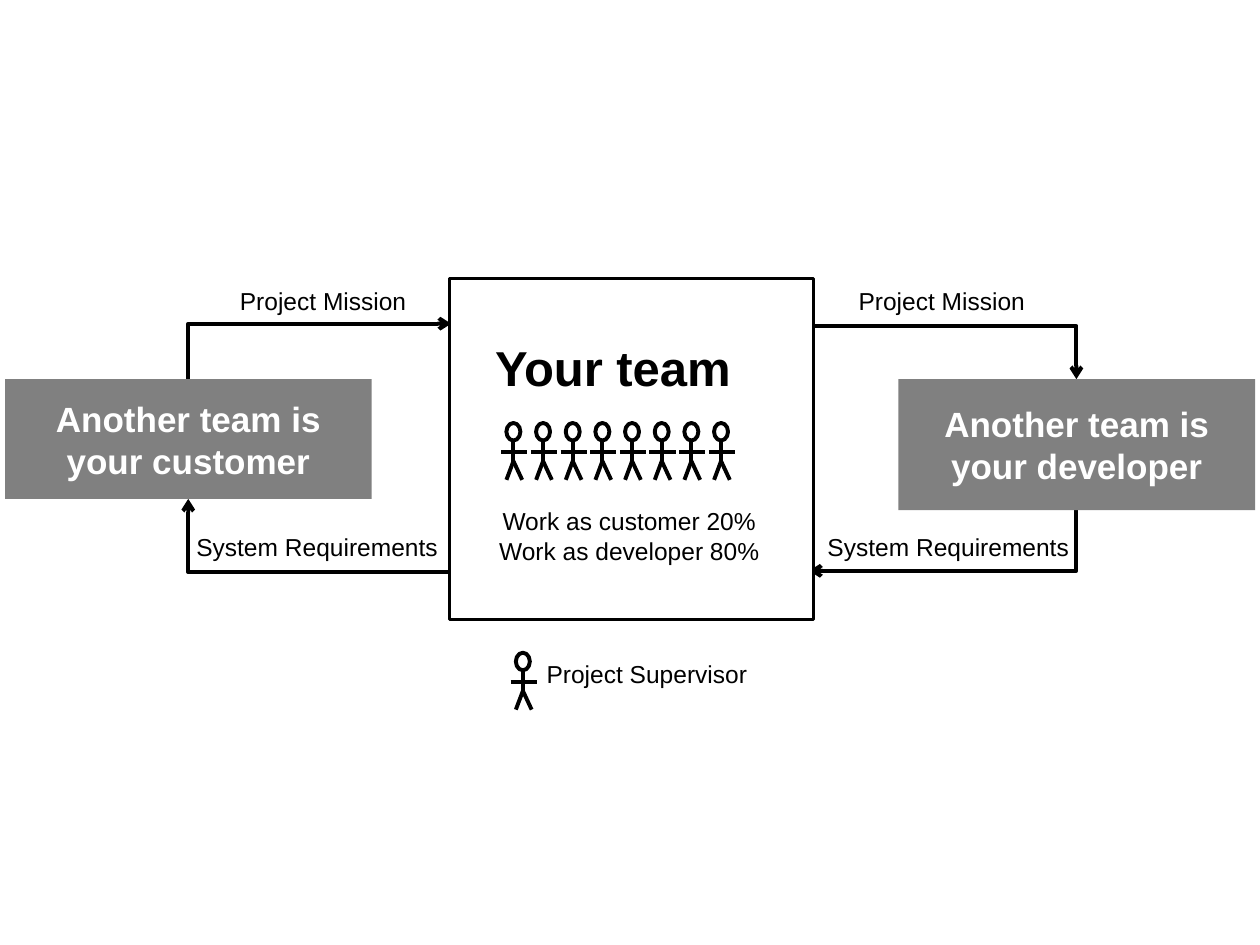
"""Draw how one student team works as both customer and developer."""
from dataclasses import dataclass

from lxml import etree
from pptx import Presentation
from pptx import util as u
from pptx.dml.color import RGBColor
from pptx.enum import shapes, text
from pptx.oxml import ns


@dataclass(frozen=True)
class Theme:
    font: str = "Arial"
    ink: RGBColor = RGBColor(0, 0, 0)
    paper: RGBColor = RGBColor(255, 255, 255)
    panel: RGBColor = RGBColor(128, 128, 128)
    label_size: float = 14
    panel_size: float = 20
    title_size: float = 28
    stroke: float = 2.25
    frame: float = 1.5


@dataclass(frozen=True)
class Area:
    left: float
    top: float
    width: float
    height: float

    def lengths(self) -> list:
        return [u.Pt(n) for n in (self.left, self.top, self.width, self.height)]


@dataclass(frozen=True)
class Words:
    lines: tuple[str, ...]
    area: Area
    size: float
    bold: bool = False
    centred: bool = True
    wrap: bool = False


@dataclass(frozen=True)
class Flow:
    team_x: float
    team_y: float
    panel_x: float
    panel_y: float
    arrow_end: str


THEME = Theme()
KIND = shapes.MSO_SHAPE
LINK = shapes.MSO_CONNECTOR
TEAM = Area(257, 159, 208, 195)
CUSTOMER = Area(2.9, 216.7, 209.5, 68.4)
DEVELOPER = Area(513.4, 216.7, 203.8, 74.9)
CUSTOMER_X, DEVELOPER_X = 107.6, 615.1

FLOWS = (
    Flow(257.8, 185, CUSTOMER_X, 216.7, "headEnd"),
    Flow(257, 326.9, CUSTOMER_X, 285.1, "tailEnd"),
    Flow(465, 186.3, DEVELOPER_X, 216.7, "tailEnd"),
    Flow(462.4, 326.2, DEVELOPER_X, 291.6, "headEnd"),
)
PANELS = (
    Words(("Another team is", "your developer"), DEVELOPER, THEME.panel_size, bold=True),
    Words(("Another team is", "your customer"), CUSTOMER, THEME.panel_size, bold=True),
)
LABELS = tuple(
    label
    for mission_left, needs_left in ((108, 105.1), (461.5, 465.8))
    for label in (
        Words(("Project Mission",), Area(mission_left, 151.2, 153.4, 49.7), THEME.label_size),
        Words(("System Requirements",), Area(needs_left, 298.1, 98.6, 34.6),
              THEME.label_size, centred=False),
    )
)
NOTES = (
    Words(("Your team",), Area(275.8, 189.4, 150.5, 41), THEME.title_size,
          bold=True, centred=False),
    Words(("Work as customer 20%", "Work as developer 80%"),
          Area(274.3, 285.8, 170.6, 41), THEME.label_size, wrap=True),
    Words(("Project Supervisor",), Area(305.3, 373, 129.6, 24.5),
          THEME.label_size, centred=False),
)
MEMBERS, MEMBER_X, MEMBER_STEP, MEMBER_TOP = 8, 293.4, 16.95, 241.7
SUPERVISOR_X, SUPERVISOR_TOP = 298.8, 373
HEAD = Area(-4, 0, 8, 10)
LIMBS = (
    (0, 10.2, 0, 22.2),
    (-7, 16.7, 8, 16.7),
    (-4, 32.5, 0, 21.8),
    (0, 21.8, 5, 32.5),
)


def write(box, words: Words, color: RGBColor) -> None:
    frame = box.text_frame
    frame.word_wrap = words.wrap
    para = frame.paragraphs[0]
    para.alignment = text.PP_ALIGN.CENTER if words.centred else text.PP_ALIGN.LEFT
    for index, line in enumerate(words.lines):
        if index:
            para.add_line_break()
        span = para.add_run()
        span.text = line
        span.font.name = THEME.font
        span.font.size = u.Pt(words.size)
        span.font.bold = words.bold
        span.font.color.rgb = color


def add_box(page, kind, area: Area, fill: RGBColor | None = None, stroke: float = 0):
    box = page.shapes.add_shape(kind, *area.lengths())
    box.shadow.inherit = False
    if fill is None:
        box.fill.background()
    else:
        box.fill.solid()
        box.fill.fore_color.rgb = fill
    if stroke:
        box.line.color.rgb = THEME.ink
        box.line.width = u.Pt(stroke)
    else:
        box.line.fill.background()
    return box


def add_line(page, kind, *ends: float):
    line = page.shapes.add_connector(kind, *(u.Pt(n) for n in ends))
    line.line.color.rgb = THEME.ink
    line.line.width = u.Pt(THEME.stroke)
    etree.SubElement(line._element.spPr, ns.qn("a:effectLst"))
    return line


def add_flow(page, flow: Flow) -> None:
    line = add_line(page, LINK.ELBOW, flow.team_x, flow.team_y, flow.panel_x, flow.panel_y)
    props = line._element.spPr
    props.find(ns.qn("a:prstGeom")).set("prst", "bentConnector2")
    etree.SubElement(props.find(ns.qn("a:ln")), ns.qn(f"a:{flow.arrow_end}"), type="arrow")


def add_person(page, x: float, top: float) -> None:
    add_box(page, KIND.OVAL, Area(x + HEAD.left, top, HEAD.width, HEAD.height),
            stroke=THEME.stroke)
    for x1, y1, x2, y2 in LIMBS:
        add_line(page, LINK.STRAIGHT, x + x1, top + y1, x + x2, top + y2)


def build() -> None:
    deck = Presentation()
    deck.slide_width, deck.slide_height = u.Pt(720), u.Pt(540)
    page = deck.slides.add_slide(deck.slide_layouts[6])
    for flow in FLOWS:
        add_flow(page, flow)
    add_box(page, KIND.RECTANGLE, TEAM, THEME.paper, THEME.frame)
    for panel in PANELS:
        box = add_box(page, KIND.RECTANGLE, panel.area, THEME.panel)
        write(box, panel, THEME.paper)
    for label in LABELS:
        write(add_box(page, KIND.FOLDED_CORNER, label.area), label, THEME.ink)
    for note in NOTES:
        write(page.shapes.add_textbox(*note.area.lengths()), note, THEME.ink)
    add_person(page, SUPERVISOR_X, SUPERVISOR_TOP)
    for index in range(MEMBERS):
        add_person(page, MEMBER_X + index * MEMBER_STEP, MEMBER_TOP)
    deck.save("out.pptx")


build()
